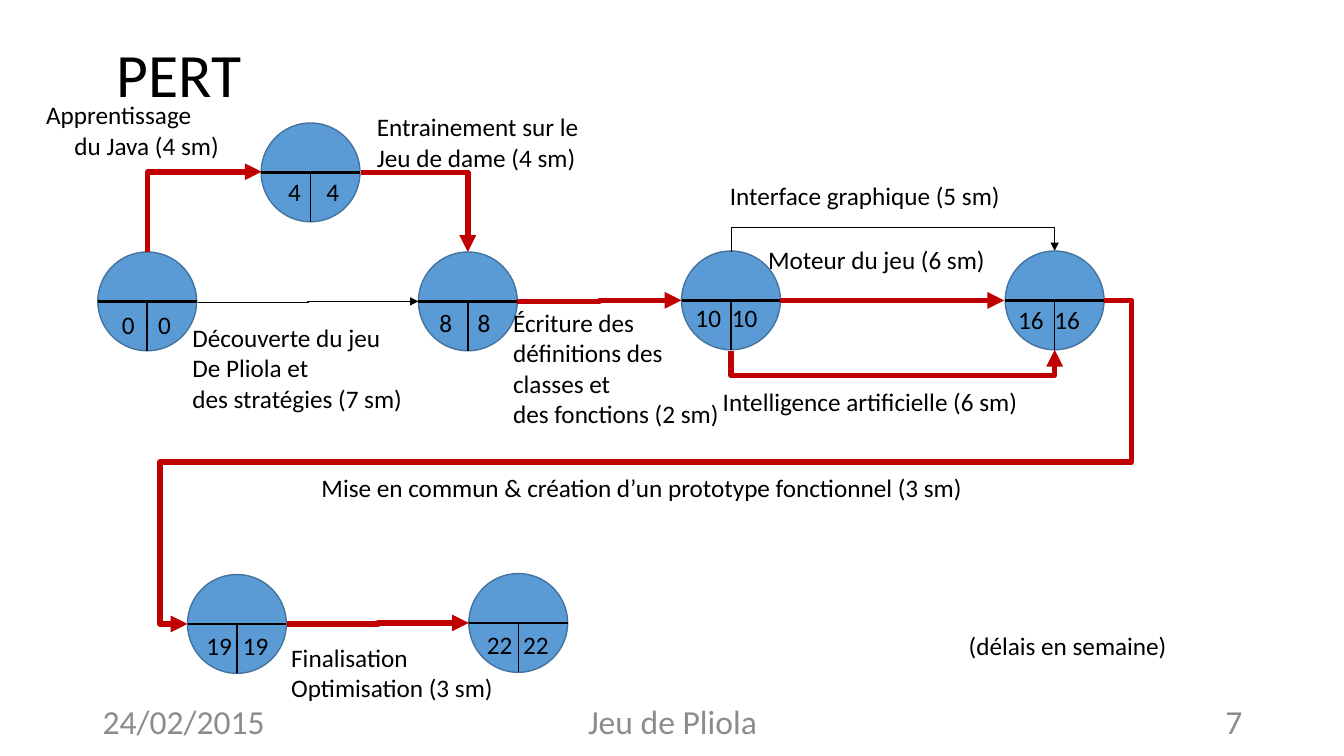
from lxml import etree
from pptx import Presentation
from pptx.dml.color import RGBColor
from pptx.enum.shapes import MSO_CONNECTOR, MSO_SHAPE
from pptx.enum.text import MSO_ANCHOR, PP_ALIGN
from pptx.oxml.ns import qn
from pptx.util import Inches, Pt

STRAIGHT, ELBOW = MSO_CONNECTOR.STRAIGHT, MSO_CONNECTOR.ELBOW
OVAL = MSO_SHAPE.OVAL
MIDDLE, TOP = MSO_ANCHOR.MIDDLE, MSO_ANCHOR.TOP
LEFT, CENTER, RIGHT = PP_ALIGN.LEFT, PP_ALIGN.CENTER, PP_ALIGN.RIGHT

BLACK = RGBColor(0x00, 0x00, 0x00)
GREY = RGBColor(0x8C, 0x8C, 0x8C)
BLUE = RGBColor(0x5B, 0x9B, 0xD5)
DARK_BLUE = RGBColor(0x43, 0x73, 0x9E)
RED = RGBColor(0xC0, 0x00, 0x00)

DIAMETER = 0.98
RADIUS = DIAMETER / 2
DATE_GAP = 0.36

NODES = [(0.97, 2.5), (2.59, 1.22), (4.15, 2.5), (6.76, 2.49),
         (9.97, 2.49), (1.86, 5.7), (4.65, 5.69)]

# left, top, width, height, rotation, flips, bends, adjustments, colour, width
TASKS = [
    (1.63, 1.54, 0.8, 1.13, 90, "HV", 2, [], RED, 4),
    (3.58, 1.71, 1.06, 0.79, 0, "", 2, [], RED, 4),
    (1.96, 2.99, 2.19, 0.01, 0, "V", 3, [], BLACK, 1),
    (5.13, 2.98, 1.63, 0.01, 0, "V", 3, [], RED, 4),
    (8.85, 0.89, 0.01, 3.21, 90, "HV", 3, [25], BLACK, 0.5),
    (8.85, 1.87, 0.01, 3.21, 90, "HV", 3, [-25], RED, 4),
    (7.74, 2.98, 2.22, 0, 0, "V", 3, [], RED, 4),
    (1.86, 2.98, 9.09, 3.21, 0, "H", 5, [-0.03, 0.5, 1.03], RED, 4),
    (2.85, 6.18, 1.8, 0.01, 0, "V", 3, [], RED, 4),
]

LABELS = [
    (3.64, 1.06, 2.22, 0.71, ["Entrainement sur le", "Jeu de dame (4 sm)"]),
    (1.81, 3.15, 2.3, 1.01,
     ["Découverte du jeu", "De Pliola et", "des stratégies (7 sm)"]),
    (4.99, 3, 2.62, 1.31, ["Écriture des", "définitions des", "classes et",
                           "des fonctions (2 sm)"]),
    (7.14, 1.74, 3.47, 0.4, ["Interface graphique (5 sm)"]),
    (7.52, 2.37, 2.72, 0.4, ["Moteur du jeu (6 sm)"]),
    (7.07, 3.78, 3.66, 0.4, ["Intelligence artificielle (6 sm)"]),
    (3.09, 4.64, 8.11, 0.4,
     ["Mise en commun & création d’un prototype fonctionnel (3 sm)"]),
    (2.79, 6.32, 2.54, 0.71, ["Finalisation", "Optimisation (3 sm)"]),
    (9.51, 6.2, 2.6, 0.4, ["(délais en semaine)"]),
]

DATES = [(1.11, 3.02, 0), (4.73, 6.19, 22), (6.8, 2.95, 10),
         (10, 2.97, 16), (1.95, 6.2, 19)]
NUMBERED_DATES = [(2.76, 1.7, 4), (4.26, 3, 8)]

FOOTER = [(0.92, 3, "24/02/2015", LEFT), (4.42, 4.5, "Jeu de Pliola", CENTER),
          (9.42, 3, "7", RIGHT)]


def write(tf, lines, size=18, color=BLACK, align=LEFT, anchor=TOP):
    """Fill a text frame with one paragraph per line."""
    tf.word_wrap = True
    tf.vertical_anchor = anchor
    for i, line in enumerate(lines):
        p = tf.paragraphs[0] if i == 0 else tf.add_paragraph()
        p.alignment = align
        r = p.add_run()
        r.text = line
        for name, value in {"name": "Calibri", "size": Pt(size)}.items():
            setattr(r.font, name, value)
        r.font.color.rgb = color


def add_text(s, x, y, w, h, lines, **style):
    """Add a text box and return its paragraphs."""
    box = s.shapes.add_textbox(Inches(x), Inches(y), Inches(w), Inches(h))
    write(box.text_frame, lines, **style)
    return box.text_frame.paragraphs


def add_line(s, kind, x1, y1, x2, y2, color, width):
    """Add a connector without a shadow."""
    c = s.shapes.add_connector(kind, Inches(x1), Inches(y1),
                               Inches(x2), Inches(y2))
    c.line.color.rgb = color
    c.line.width = Pt(width)
    etree.SubElement(c.element.spPr, qn("a:effectLst"))
    return c


def add_node(s, x, y):
    """Add an event circle with its crossbar and lower divider."""
    sp = s.shapes.add_shape(OVAL, Inches(x), Inches(y),
                            Inches(DIAMETER), Inches(DIAMETER))
    sp.shadow.inherit = False
    sp.fill.solid()
    sp.fill.fore_color.rgb = BLUE
    sp.line.color.rgb = DARK_BLUE
    sp.line.width = Pt(1)
    cx, cy = x + RADIUS, y + RADIUS
    add_line(s, STRAIGHT, x, cy, x + DIAMETER, cy, BLACK, 2)
    add_line(s, STRAIGHT, cx, y + DIAMETER, cx, cy, BLACK, 1)


def add_task(s, x, y, w, h, rotation, flips, bends, adjustments, color, width):
    """Add an elbow arrow between two events."""
    c = add_line(s, ELBOW, x, y, x + w, y + h, color, width)
    pr = c.element.spPr
    xfrm = pr.find(qn("a:xfrm"))
    if rotation:
        xfrm.set("rot", str(rotation * 60000))
    for axis in flips:
        xfrm.set(f"flip{axis}", "1")
    geom = pr.find(qn("a:prstGeom"))
    geom.set("prst", f"bentConnector{bends}")
    guides = geom.find(qn("a:avLst"))
    for i, value in enumerate(adjustments, 1):
        etree.SubElement(guides, qn("a:gd"), name=f"adj{i}",
                         fmla=f"val {round(value * 100000)}")
    etree.SubElement(pr.find(qn("a:ln")), qn("a:tailEnd"), type="triangle")


def add_dates(s, x, y, week):
    """Add the early and late dates of an event, set apart by a tab."""
    p = add_text(s, x, y, 0.9, 0.4, [f"{week}\t{week}"])[0]
    tabs = etree.SubElement(p._p.get_or_add_pPr(), qn("a:tabLst"))
    etree.SubElement(tabs, qn("a:tab"), pos=str(Inches(DATE_GAP)), algn="l")


def add_numbered_date(s, x, y, week):
    """Add a late date whose list number is the early date."""
    p = add_text(s, x, y, 0.72, 0.4, [str(week)])[0]
    pr = p._p.get_or_add_pPr()
    for name, value in {"marL": 0.38, "indent": -0.38}.items():
        pr.set(name, str(Inches(value)))
    etree.SubElement(pr, qn("a:buAutoNum"), type="arabicPlain",
                     startAt=str(week))


def add_title(s):
    """Place and format the slide title."""
    sp = s.shapes.title
    box = {"left": 1.06, "top": 0, "width": 10.29, "height": 1.53}
    for name, value in box.items():
        setattr(sp, name, Inches(value))
    write(sp.text_frame, ["PERT"], size=44, anchor=MIDDLE)
    sp.text_frame.paragraphs[0].line_spacing = 0.9


def main():
    """Build the PERT slide."""
    prs = Presentation()
    prs.slide_width, prs.slide_height = Inches(13.33), Inches(7.5)
    s = prs.slides.add_slide(prs.slide_layouts[5])
    for x, w, text, align in FOOTER:
        add_text(s, x, 6.95, w, 0.4, [text], size=24, color=GREY,
                 align=align, anchor=MIDDLE)
    add_title(s)
    for node in NODES:
        add_node(s, *node)
    for task in TASKS:
        add_task(s, *task)
    java = add_text(s, 0.36, 0.94, 2.36, 0.71,
                    ["Apprentissage", "du Java (4 sm)"])
    java[1]._p.get_or_add_pPr().set("marL", str(Inches(0.28)))
    for label in LABELS:
        add_text(s, *label)
    for dates in DATES:
        add_dates(s, *dates)
    for date in NUMBERED_DATES:
        add_numbered_date(s, *date)
    prs.save("out.pptx")


if __name__ == "__main__":
    main()
